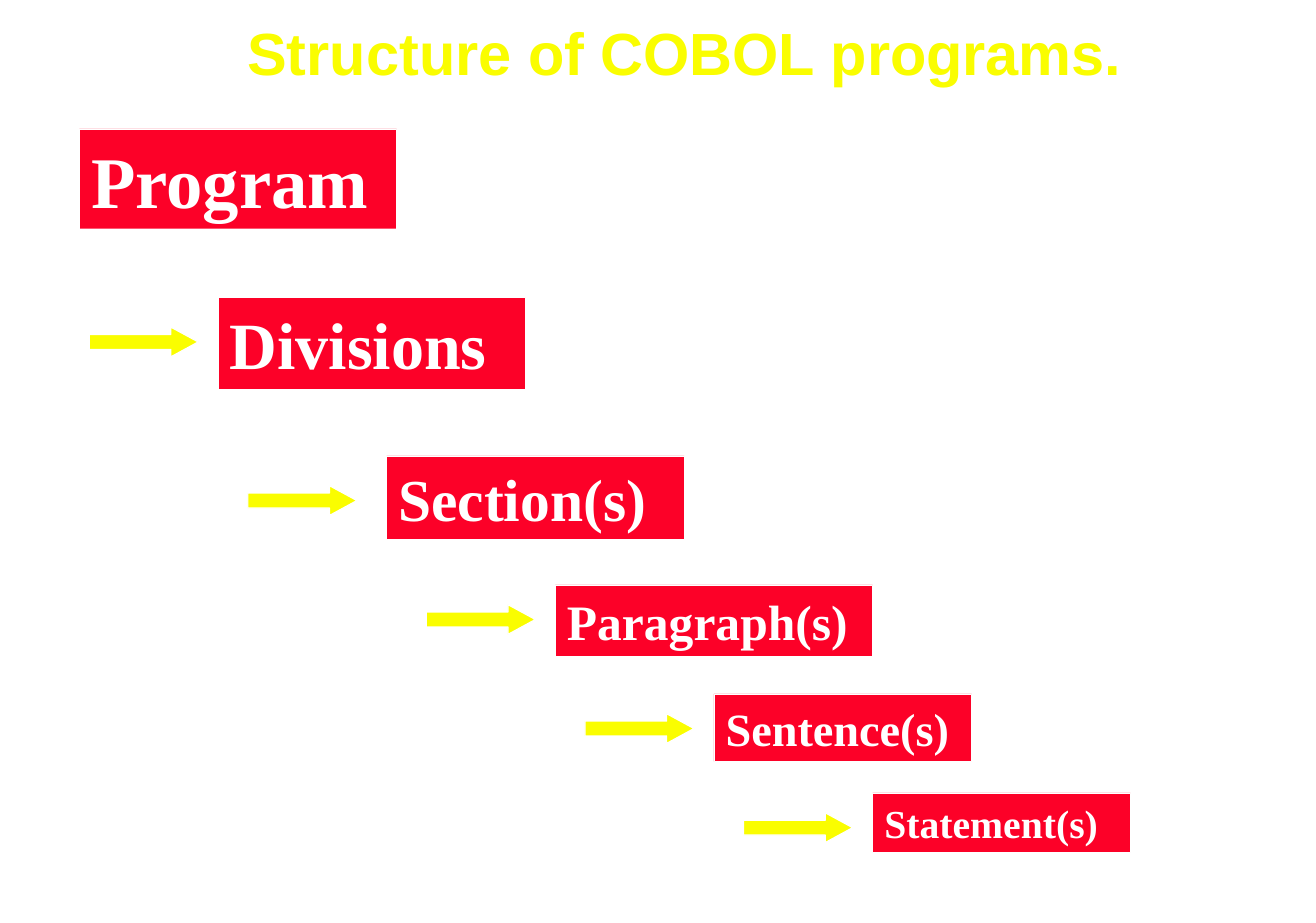
from pptx import Presentation
from pptx.dml.color import RGBColor
from pptx.enum.shapes import MSO_SHAPE
from pptx.enum.text import MSO_ANCHOR, MSO_AUTO_SIZE, PP_ALIGN
from pptx.util import Pt

YELLOW, RED, WHITE = "FAFD00", "FC0128", "FFFFFF"
ARROW_WIDTH, ARROW_HEIGHT = 66, 18

# Label, font size, box (left, top, width, height),
# and arrow offset from the box's top left corner
LEVELS = [
    ("Program", 44, (48, 78, 192, 60.5), None),
    ("Divisions", 40, (132, 180, 186, 55.5), (-78, 18)),
    ("Section(s)", 36, (234, 276, 180, 50.5), (-84, 18)),
    ("Paragraph(s)", 30, (336, 354, 192, 43), (-78, 12)),
    ("Sentence(s)", 28, (432, 420, 156, 41), (-78, 12)),
    ("Statement(s)", 24, (528, 480, 156, 36), (-78, 12)),
]


def color(hex_value):
    return RGBColor.from_string(hex_value)


def write(shape, text, font_name, size, text_color, inset_x, inset_y):
    frame = shape.text_frame
    frame.text = text
    frame.auto_size = MSO_AUTO_SIZE.NONE
    frame.word_wrap = False
    frame.vertical_anchor = MSO_ANCHOR.BOTTOM
    frame.margin_left = frame.margin_right = Pt(inset_x)
    frame.margin_top = frame.margin_bottom = Pt(inset_y)
    paragraph = frame.paragraphs[0]
    paragraph.alignment = PP_ALIGN.LEFT
    paragraph.line_spacing = 1.0
    paragraph.space_before = Pt(0)
    font = paragraph.runs[0].font
    font.name, font.size, font.bold = font_name, Pt(size), True
    font.color.rgb = color(text_color)


def add_filled(slide, preset, box, fill, line_width):
    shape = slide.shapes.add_shape(preset, *map(Pt, box))
    shape.shadow.inherit = False
    shape.fill.solid()
    shape.fill.fore_color.rgb = color(fill)
    shape.line.color.rgb = color(WHITE)
    shape.line.width = Pt(line_width)
    return shape


def place_heading(slide, box):
    heading = slide.shapes.title
    heading.left, heading.top, heading.width, heading.height = map(Pt, box)
    write(heading, "Structure of COBOL programs.", "Arial", 36, YELLOW, 3.6, 1.5)


def add_level(slide, box, label, size, arrow_offset):
    # Red box with its label
    level = add_filled(slide, MSO_SHAPE.RECTANGLE, box, RED, 0.25)
    write(level, label, "Times New Roman", size, WHITE, 7.2, 3.6)

    # Arrow leading into the box
    if arrow_offset:
        left, top = box[0] + arrow_offset[0], box[1] + arrow_offset[1]
        arrow_box = (left, top, ARROW_WIDTH, ARROW_HEIGHT)
        arrow = add_filled(slide, MSO_SHAPE.RIGHT_ARROW, arrow_box, YELLOW, 0.75)
        arrow.adjustments[0] = 0.5
        arrow.adjustments[1] = 0.92


def main():
    deck = Presentation()
    deck.slide_width, deck.slide_height = Pt(796.3), Pt(558.7)
    slide = deck.slides.add_slide(deck.slide_layouts[5])
    slide.background.fill.solid()
    slide.background.fill.fore_color.rgb = color(WHITE)

    place_heading(slide, (146, 8.6, 537, 46))
    for label, size, box, arrow_offset in LEVELS:
        add_level(slide, box, label, size, arrow_offset)
    deck.save("out.pptx")


if __name__ == "__main__":
    main()
